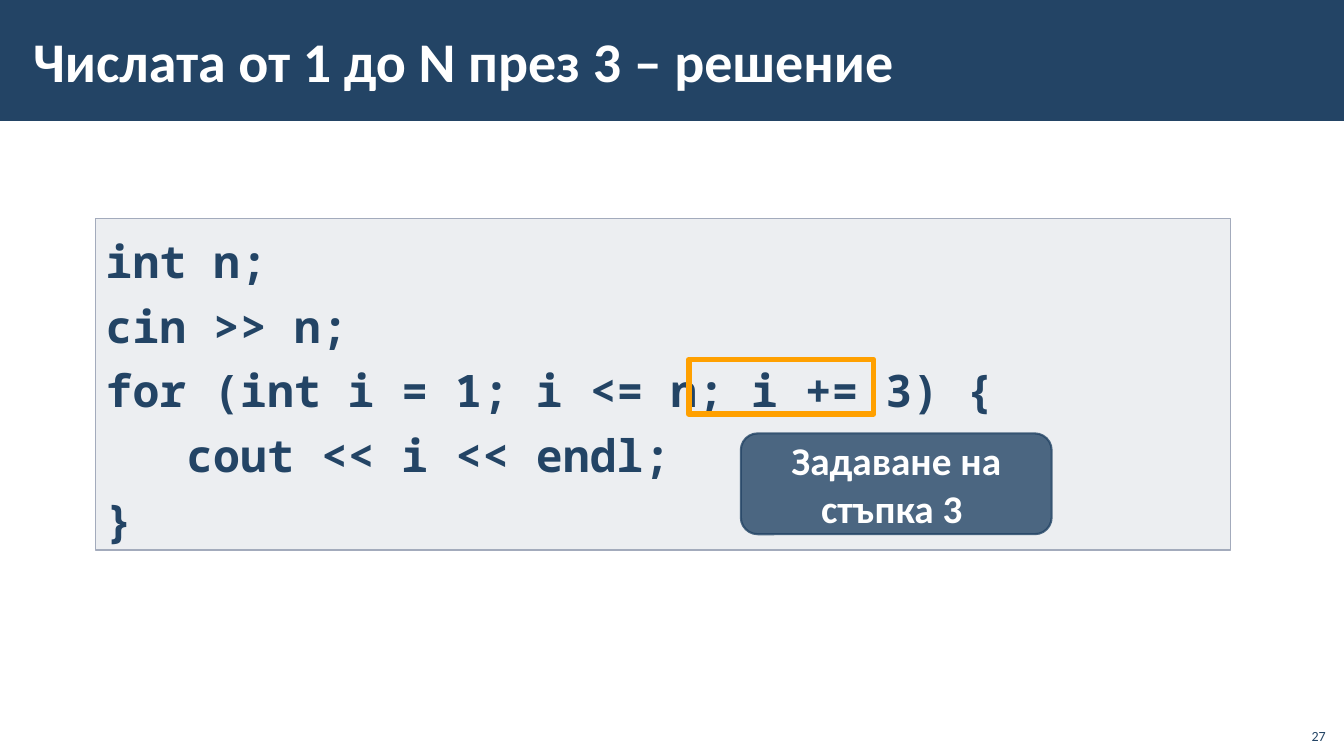
from lxml import etree
from pptx import Presentation
from pptx.dml.color import RGBColor
from pptx.enum.shapes import MSO_SHAPE
from pptx.enum.text import MSO_ANCHOR, MSO_AUTO_SIZE, PP_ALIGN
from pptx.oxml.ns import qn
from pptx.util import Inches, Pt

RECTANGLE, ROUNDED = MSO_SHAPE.RECTANGLE, MSO_SHAPE.ROUNDED_RECTANGLE
TOP, MIDDLE, BOTTOM = MSO_ANCHOR.TOP, MSO_ANCHOR.MIDDLE, MSO_ANCHOR.BOTTOM
LEFT, CENTER, RIGHT = PP_ALIGN.LEFT, PP_ALIGN.CENTER, PP_ALIGN.RIGHT
NO_AUTOFIT = MSO_AUTO_SIZE.NONE
TITLE_ONLY = 5

NAVY = RGBColor(0x23, 0x44, 0x65)
GRAY = RGBColor(0xA3, 0xAB, 0xBC)
ORANGE = RGBColor(0xFF, 0xA0, 0x00)
WHITE = RGBColor(0xFF, 0xFF, 0xFF)

SLIDE_WIDTH, SLIDE_HEIGHT = Inches(13.33), Inches(7.5)
COLUMNS, ROWS = 16, 9

CODE = [
    "int n;",
    "cin >> n;",
    "for (int i = 1; i <= n; i += 3) {",
    "   cout << i << endl;",
    "}",
]


def grid(column, row, columns, rows):
    across, down = SLIDE_WIDTH / COLUMNS, SLIDE_HEIGHT / ROWS
    return (round(column * across), round(row * down),
            round(columns * across), round(rows * down))


def apply(target, formats):
    for name, value in formats.items():
        setattr(target, name, value)


def set_opacity(color_format, percent):
    for color in color_format.iter(qn("a:srgbClr")):
        etree.SubElement(color, qn("a:alpha"), val=str(percent * 1000))


def add_box(slide, preset, cells, fill=None, line=None, width=1, opacity=100, line_opacity=100):
    box = slide.shapes.add_shape(preset, *grid(*cells))
    box.shadow.inherit = False
    if fill is None:
        box.fill.background()
    else:
        box.fill.solid()
        box.fill.fore_color.rgb = fill
        set_opacity(box.element.spPr.find(qn("a:solidFill")), opacity)
    if line is None:
        box.line.fill.background()
    else:
        box.line.color.rgb = line
        box.line.width = Pt(width)
        set_opacity(box.element.spPr.find(qn("a:ln")), line_opacity)
    return box


def write(shape, lines, font, align=LEFT, anchor=MIDDLE, spacing=1.0, margins=(0.1, 0.05)):
    side, edge = (Inches(margin) for margin in margins)
    frame = shape.text_frame
    frame.text = "\n".join(lines)
    apply(frame, {
        "word_wrap": True, "auto_size": NO_AUTOFIT, "vertical_anchor": anchor,
        "margin_left": side, "margin_right": side,
        "margin_top": edge, "margin_bottom": edge,
    })
    for paragraph in frame.paragraphs:
        apply(paragraph, {"alignment": align, "line_spacing": spacing})
        for run in paragraph.runs:
            name, size, bold, color = font
            apply(run.font, {"name": name, "size": Pt(size), "bold": bold})
            run.font.color.rgb = color


def add_heading(slide, text):
    title = slide.shapes.title
    band = add_box(slide, RECTANGLE, (0, 0, COLUMNS, 1.44), NAVY)
    title.element.addprevious(band.element)
    apply(title, dict(zip(("left", "top", "width", "height"), grid(0.25, 0.13, 12.75, 1.16))))
    write(title, [text], ("Calibri", 40, True, WHITE), margins=(0.12, 0.04))


def add_code(slide, lines):
    listing = add_box(slide, RECTANGLE, (1.14, 2.6, 13.51, 3.95), GRAY, GRAY, opacity=20)
    write(listing, lines, ("Noto Sans Mono", 32, True, NAVY), anchor=TOP, spacing=1.2)


def add_callout(slide, text):
    callout = add_box(slide, ROUNDED, (8.82, 5.16, 3.7, 1.2), NAVY, NAVY, 1.5, 80, 80)
    write(callout, [text], ("Calibri", 28, True, WHITE), CENTER)


def add_page_number(slide, number):
    page = slide.shapes.add_textbox(*grid(15.42, 8.54, 0.48, 0.38))
    write(page, [number], ("Calibri", 10, False, NAVY), RIGHT, BOTTOM)


def main():
    presentation = Presentation()
    apply(presentation, {"slide_width": SLIDE_WIDTH, "slide_height": SLIDE_HEIGHT})
    slide = presentation.slides.add_slide(presentation.slide_layouts[TITLE_ONLY])
    add_heading(slide, "Числата от 1 до N през 3 – решение")
    add_code(slide, CODE)
    add_box(slide, RECTANGLE, (8.2, 4.28, 2.2, 0.65), line=ORANGE, width=4)
    add_callout(slide, "Задаване на стъпка 3 ")
    add_page_number(slide, "27")
    presentation.save("out.pptx")


if __name__ == "__main__":
    main()
